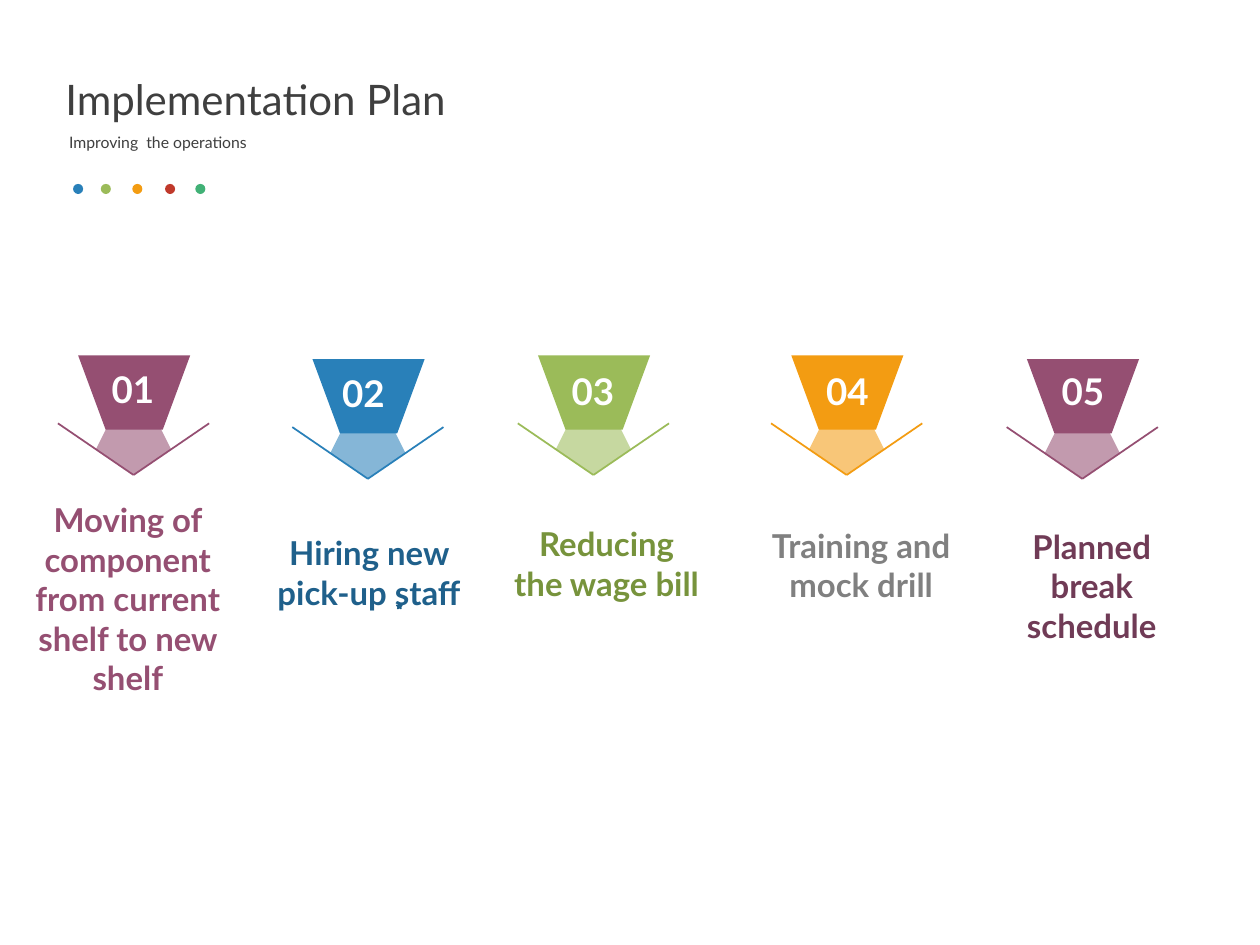
from dataclasses import dataclass

from lxml import etree
from pptx import Presentation
from pptx.dml.color import RGBColor
from pptx.enum import shapes, text
from pptx.oxml import ns
from pptx.util import Inches, Pt


@dataclass
class Theme:
    font: str = "Lato"
    ink: str = "3F3F3F"
    white: str = "FFFFFF"
    blue: str = "2980B9"
    green: str = "9BBB59"
    amber: str = "F39C12"
    plum: str = "954F72"
    red: str = "C0392B"
    mint: str = "41B176"
    navy: str = "1F608B"
    olive: str = "77933C"
    gray: str = "808080"
    wine: str = "703B56"
    edge: str = "1E5F89"
    title: float = 24
    sub: float = 9
    num: float = 21
    label: float = 18.8


look = Theme()
kind = shapes.MSO_SHAPE
top, mid, low = text.MSO_ANCHOR.TOP, text.MSO_ANCHOR.MIDDLE, text.MSO_ANCHOR.BOTTOM

deck = Presentation()
deck.slide_width, deck.slide_height = Inches(10), Inches(7.5)
slide = deck.slides.add_slide(deck.slide_layouts[6])
items = slide.shapes


def write(words, box, size, color, bold=False, anchor=top,
          align=text.PP_ALIGN.CENTER, space=1.0):
    frame = items.add_textbox(*map(Inches, box)).text_frame
    frame.word_wrap = True
    frame.vertical_anchor = anchor
    para = frame.paragraphs[0]
    para.alignment = align
    para.line_spacing = space
    run = para.add_run()
    run.text = words
    run.font.name = look.font
    run.font.size = Pt(size)
    run.font.bold = bold
    run.font.color.rgb = RGBColor.from_string(color)


def paint(shape, color):
    shape.shadow.inherit = False
    shape.fill.solid()
    shape.fill.fore_color.rgb = RGBColor.from_string(color)
    shape.line.fill.background()


# Heading
left = text.PP_ALIGN.LEFT
write("Implementation Plan", (0.42, 0.51, 9.15, 0.53), look.title, look.ink,
      anchor=low, align=left, space=0.9)
write("Improving  the operations", (0.45, 1.02, 9.15, 0.45), look.sub, look.ink,
      align=left, space=0.9)

# Row of dots
dots = [(0.58, look.blue), (0.8, look.green), (1.05, look.amber),
        (1.31, look.red), (1.55, look.mint)]
for x, color in dots:
    dot = items.add_shape(kind.OVAL, *map(Inches, (x, 1.46, 0.08, 0.08)))
    paint(dot, color)

# Steps: centre, top, colour, number's left and top, label, its box and colour, anchor
steps = [
    (1.06, 2.82, look.plum, (0.77, 2.86),
     "Moving of component from current shelf to new shelf",
     (0.13, 3.91, 1.77, 1.68), look.plum, mid),
    (2.92, 2.85, look.blue, (2.6, 2.89), "Hiring new pick-up staff",
     (2.05, 4.18, 1.76, 0.73), look.navy, top),
    (4.71, 2.82, look.green, (4.42, 2.88), "Reducing the wage bill",
     (3.97, 4.11, 1.69, 1.05), look.olive, top),
    (6.72, 2.82, look.amber, (6.44, 2.88), "Training and mock drill",
     (5.99, 4.12, 1.69, 1.05), look.gray, top),
    (8.59, 2.85, look.plum, (8.31, 2.88), "Planned break schedule",
     (7.82, 4.13, 1.69, 1.05), look.wine, top),
]
for i, (x, y, color, spot, label, box, tint, anchor) in enumerate(steps, 1):
    # Funnel
    cup = items.add_shape(kind.TRAPEZOID, *map(Inches, (x - 0.44, y, 0.89, 0.59)))
    cup.rotation = 180
    cup.adjustments[0] = 0.37
    paint(cup, color)

    # Pale tip
    pen = items.build_freeform(Inches(x), Inches(y + 0.15))
    pen.add_line_segments([(Inches(x + dx), Inches(y + dy)) for dx, dy in
                           ((0.3, 0.75), (0, 0.95), (-0.3, 0.75))])
    tip = pen.convert_to_shape()
    paint(tip, color)
    tone = tip.fill._xPr.find(".//" + ns.qn("a:srgbClr"))
    etree.SubElement(tone, ns.qn("a:alpha"), val="57000")

    # Arms of the arrow
    for dx in (0.6, -0.6):
        arm = items.add_connector(shapes.MSO_CONNECTOR.STRAIGHT, *map(
            Inches, (x, y + 0.95, x + dx, y + 0.54)))
        arm.line.color.rgb = RGBColor.from_string(color)
        arm.line.width = Pt(1)
        etree.SubElement(arm._element.spPr, ns.qn("a:effectLst"))

    # Number and label
    write(f"{i:02}", (*spot, 0.57, 0.45), look.num, look.white, bold=True, anchor=mid)
    write(label, box, look.label, tint, bold=True, anchor=anchor)

# Small star
star = items.add_shape(kind.STAR_5_POINT, *map(Inches, (3.15, 4.79, 0.04, 0.04)))
paint(star, look.blue)
star.line.color.rgb = RGBColor.from_string(look.edge)
star.line.width = Pt(1)

deck.save("out.pptx")
